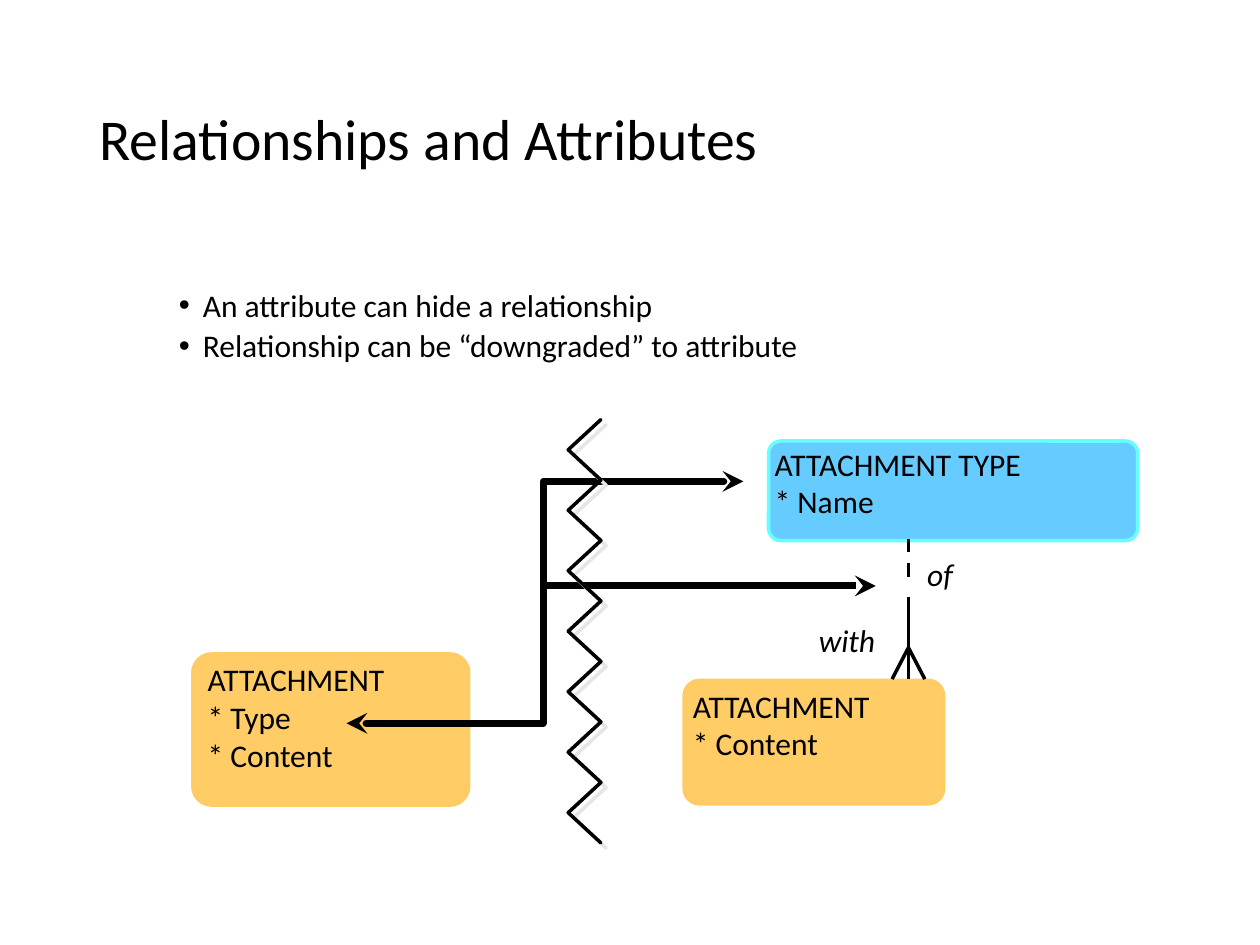
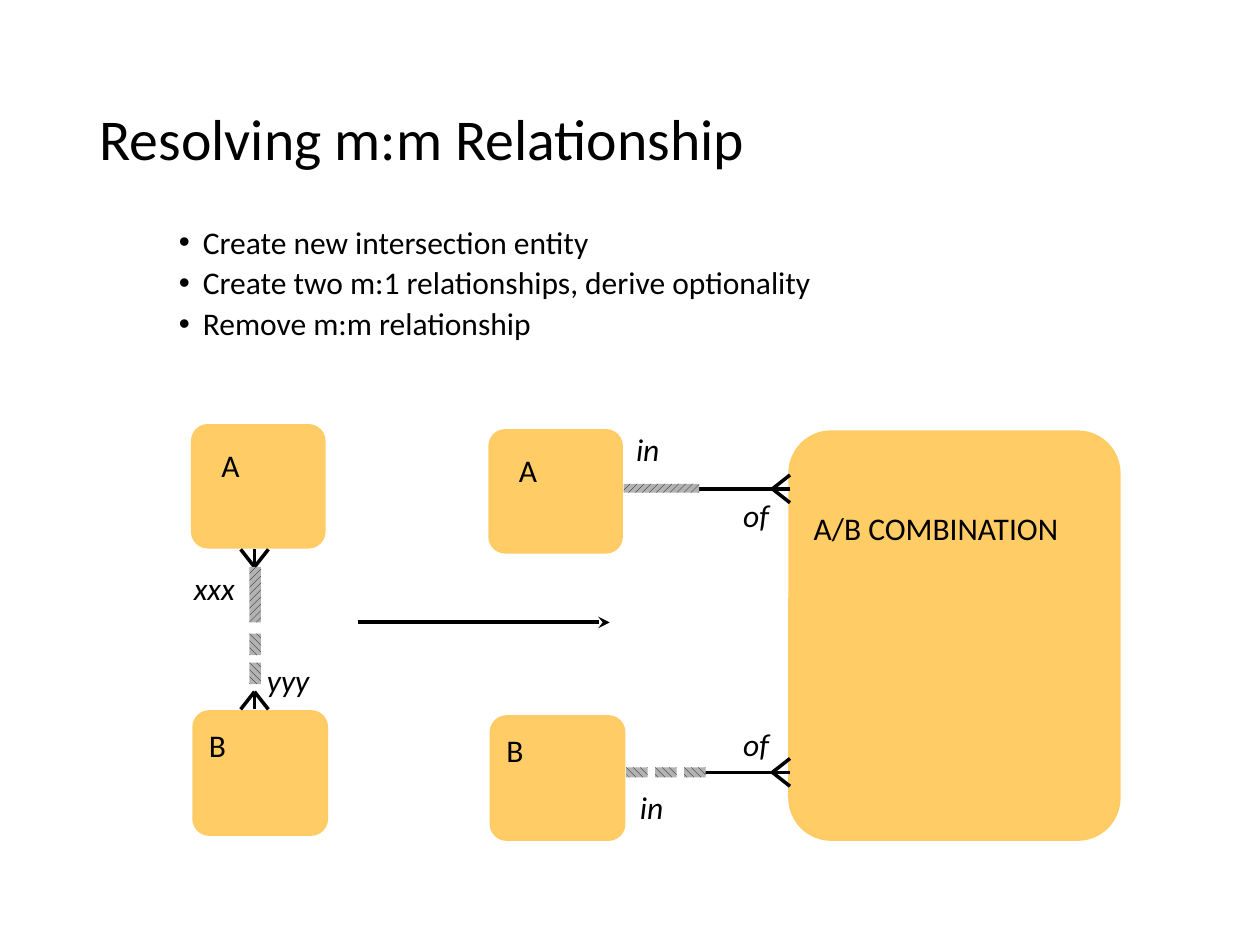
from lxml import etree
from pptx import Presentation
from pptx.dml.color import RGBColor
from pptx.enum.dml import MSO_LINE, MSO_PATTERN
from pptx.enum.shapes import MSO_CONNECTOR, MSO_SHAPE
from pptx.enum.text import MSO_ANCHOR, MSO_AUTO_SIZE, PP_ALIGN
from pptx.oxml.ns import qn
from pptx.util import Inches, Pt

STRAIGHT = MSO_CONNECTOR.STRAIGHT
ROUNDED, RECTANGLE = MSO_SHAPE.ROUNDED_RECTANGLE, MSO_SHAPE.RECTANGLE
DASH = MSO_LINE.DASH
UPWARD, DOWNWARD = MSO_PATTERN.WIDE_UPWARD_DIAGONAL, MSO_PATTERN.WIDE_DOWNWARD_DIAGONAL
TOP, MIDDLE = MSO_ANCHOR.TOP, MSO_ANCHOR.MIDDLE
LEFT = PP_ALIGN.LEFT
FIXED, GROW = MSO_AUTO_SIZE.NONE, MSO_AUTO_SIZE.SHAPE_TO_FIT_TEXT

FONT = "Calibri"
BLACK = "000000"
AMBER, AMBER_EDGE = "FFCC66", "FFCB65"
BLUE, BLUE_EDGE = "66CCFF", "66FFFF"
HATCH_GRAY, SHADOW_GRAY = "B2B2B2", "E7E6E6"


def color(code):
    return RGBColor.from_string(code)


def inches(values):
    return [Inches(value) for value in values]


def add_node(parent, tag, **attributes):
    return etree.SubElement(parent, qn(tag), attributes)


def write(frame, text, size=18, italic=False, spacing=None, anchor=TOP, fit=GROW):
    """Fill the frame; each line of a list becomes a paragraph, "\\n" a line break."""
    frame.word_wrap = True
    frame.auto_size = fit
    frame.vertical_anchor = anchor
    lines = [text] if isinstance(text, str) else text
    for index, line in enumerate(lines):
        para = frame.add_paragraph() if index else frame.paragraphs[0]
        para.text = line.replace("\n", "\v")
        para.alignment = LEFT
        para.line_spacing = spacing
        para.space_before = Pt(3.8 if index else 0)
        for span in para.runs:
            span.font.name, span.font.size = FONT, Pt(size)
            span.font.italic = italic
            span.font.color.rgb = color(BLACK)


class Deck:
    def __init__(self):
        self.file = Presentation()
        self.file.slide_width, self.file.slide_height = Inches(10), Inches(7.5)
        self.page = None

    def start_page(self, title, bullets, bullets_top):
        self.page = self.file.slides.add_slide(self.file.slide_layouts[1])
        heading, body = self.page.placeholders
        self.move(heading, 0.69, 0.4, 8.62, 1.45)
        write(heading.text_frame, title, size=33, spacing=0.9, anchor=MIDDLE, fit=FIXED)
        self.move(body, 0.95, bullets_top, 8.1, 3.77)
        write(body.text_frame, bullets, spacing=0.9, fit=FIXED)
        for para in body.text_frame.paragraphs:
            para.level = 1
            properties = para._p.get_or_add_pPr()
            properties.set("marL", str(Inches(0.56)))
            properties.set("indent", str(Inches(-0.19)))
            add_node(properties, "a:buFont", typeface="Arial")
            add_node(properties, "a:buChar", char="•")

    def move(self, shape, *place):
        shape.left, shape.top, shape.width, shape.height = inches(place)

    def text(self, text, *place, **style):
        box = self.page.shapes.add_textbox(*inches(place))
        write(box.text_frame, text, **style)

    def role(self, text, *place, spacing=0.9):
        """Name one end of a relationship."""
        self.text(text, *place, italic=True, spacing=spacing)

    def entity(self, place, text, text_place, fill=AMBER, edge=AMBER_EDGE):
        box = self.page.shapes.add_shape(ROUNDED, *inches(place))
        box.adjustments[0] = 0.125
        box.shadow.inherit = False
        box.fill.solid()
        box.fill.fore_color.rgb = color(fill)
        box.line.color.rgb = color(edge)
        box.line.width = Pt(2)
        self.text(text, *text_place)

    def hatched_bar(self, pattern, *place):
        bar = self.page.shapes.add_shape(RECTANGLE, *inches(place))
        bar.shadow.inherit = False
        bar.fill.patterned()
        bar.fill.pattern = pattern
        bar.fill.fore_color.rgb = color(BLACK)
        bar.fill.back_color.rgb = color(HATCH_GRAY)
        bar.line.fill.background()

    def stroke(self, shape, width, heads=()):
        """Draw the outline in black, with arrowheads at the named ends."""
        shape.line.color.rgb = color(BLACK)
        shape.line.width = Pt(width)
        outline = shape.element.spPr.find(qn("a:ln"))
        for end in heads:
            add_node(outline, f"a:{end}End", type="stealth")

    def line(self, start, end, width=2, heads=(), dash=None):
        line = self.page.shapes.add_connector(STRAIGHT, *inches((*start, *end)))
        self.stroke(line, width, heads)
        if dash:
            line.line.dash_style = dash
        add_node(line.element.spPr, "a:effectLst")

    def polyline(self, points, width=2, heads=(), shadow=False):
        corners = [inches(point) for point in points]
        builder = self.page.shapes.build_freeform(*corners[0], scale=1.0)
        builder.add_line_segments(corners[1:], close=False)
        shape = builder.convert_to_shape()
        shape.fill.background()
        shape.line.color.rgb = color(BLACK)
        outline = shape.element.spPr.find(qn("a:ln"))
        outline.set("cap", "rnd")
        add_node(outline, "a:round")
        self.stroke(shape, width, heads)
        shape.shadow.inherit = False
        if shadow:
            effects = shape.element.spPr.find(qn("a:effectLst"))
            cast = add_node(effects, "a:outerShdw", dist=str(Pt(4.2)), dir=str(45 * 60000),
                            algn="ctr", rotWithShape="0")
            add_node(cast, "a:srgbClr", val=SHADOW_GRAY)

    def crow_foot(self, tip, foot, spread, stem_start=None):
        """Spread two toes from the tip to the foot and run the stem through them."""
        upright = tip[0] == foot[0]
        for side in (-spread, spread):
            toe = (foot[0] + side, foot[1]) if upright else (foot[0], foot[1] + side)
            self.line(toe, tip)
        self.line(stem_start or tip, foot)


def add_attributes_page(deck):
    deck.start_page("Relationships and Attributes",
                    ["An attribute can hide a relationship",
                     "Relationship can be “downgraded” to attribute"], 2.25)
    deck.entity((5.43, 5.4, 2.06, 0.98), "ATTACHMENT\n* Content", (5.4, 5.4, 2.22, 0.7))
    deck.entity((6.1, 3.5, 2.93, 0.79), "ATTACHMENT TYPE\n* Name", (6.05, 3.48, 3.24, 0.7),
                BLUE, BLUE_EDGE)
    deck.crow_foot((7.21, 5.14), (7.21, 5.39), 0.13, (7.21, 4.74))
    deck.line((7.21, 4.58), (7.21, 4.28), dash=DASH)
    deck.role("with", 6.4, 4.88, 1.28, 0.4, spacing=None)
    deck.role("of", 7.26, 4.36, 0.72, 0.4, spacing=None)
    deck.entity((1.53, 5.19, 2.19, 1.2), "ATTACHMENT\n* Type\n* Content", (1.55, 5.19, 2.3, 1))

    deck.polyline([(2.75, 5.74), (4.31, 5.74), (4.31, 3.82), (5.9, 3.82)], 4, ("head", "tail"))
    deck.line((4.31, 4.65), (6.95, 4.65), 4, ("tail",))
    for start, step in ((3.33, 0.24), (6.69, -0.24)):
        deck.polyline([(4.51 if tooth % 2 else 4.77, start + tooth * step) for tooth in range(8)],
                      shadow=True)


def add_resolving_page(deck):
    deck.start_page("Resolving m:m Relationship",
                    ["Create new intersection entity",
                     "Create two m:1 relationships, derive optionality",
                     "Remove m:m relationship"], 1.75)
    deck.entity((6.27, 3.43, 2.61, 3.23), "A/B COMBINATION", (6.36, 3.99, 2.55, 0.4))
    for left, drop in ((1.53, 0), (3.89, 0.04)):
        deck.entity((left, 3.38 + drop, 1.04, 0.96), "A",
                    (left + 0.13, 3.49 + drop, 0.67, 0.4))
        deck.entity((left + 0.01, 5.65 + drop, 1.05, 0.97), "B",
                    (left + 0.03, 5.71 + drop, 0.83, 0.4))

    deck.role("xxx", 1.44, 4.5, 0.73, 0.37)
    deck.role("yyy", 2.02, 5.23, 0.61, 0.37)
    deck.crow_foot((2.02, 4.5), (2.02, 4.36), 0.11)
    deck.crow_foot((2.02, 5.49), (2.02, 5.63), 0.11)
    deck.hatched_bar(UPWARD, 1.98, 4.5, 0.09, 0.44)
    for top in (5.03, 5.26):
        deck.hatched_bar(DOWNWARD, 1.98, top, 0.09, 0.17)

    for middle, of_top, in_left, in_top in ((3.88, 3.92, 4.95, 3.4), (6.13, 5.74, 4.98, 6.24)):
        deck.crow_foot((6.13, middle), (6.27, middle), 0.11, (5.52, middle))
        deck.role("of", 5.8, of_top, 0.73, 0.37)
        deck.role("in", in_left, in_top, 0.73, 0.37)
    deck.hatched_bar(UPWARD, 4.95, 3.84, 0.6, 0.07)
    for dash in range(3):
        deck.hatched_bar(DOWNWARD, 4.97 + dash * 0.23, 6.09, 0.17, 0.08)
    deck.line((2.84, 4.94), (4.84, 4.94), 2.25, ("tail",))


def main():
    deck = Deck()
    add_attributes_page(deck)
    add_resolving_page(deck)
    deck.file.save("out.pptx")


if __name__ == "__main__":
    main()
